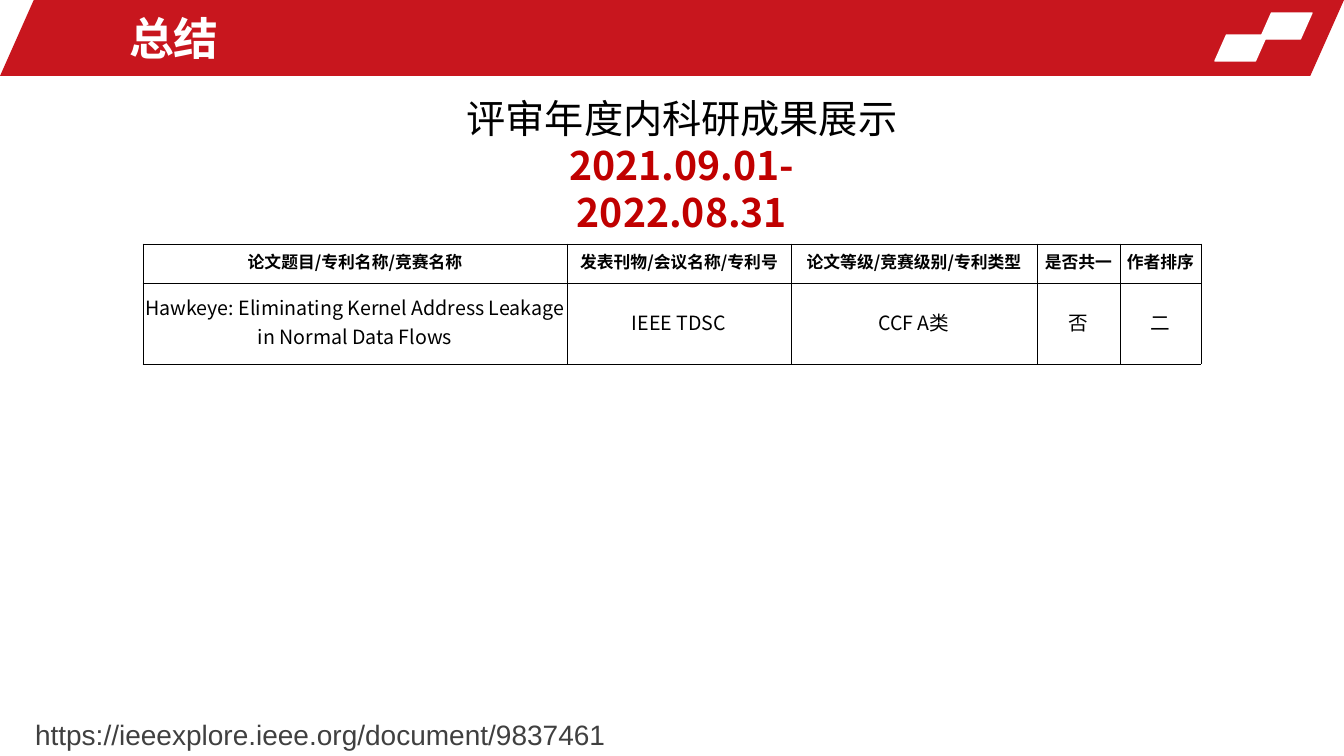
import pptx
import pptx.dml.color
import pptx.enum.shapes
import pptx.enum.text
import pptx.oxml
import pptx.oxml.ns
import pptx.util

RED = pptx.dml.color.RGBColor(0xC8, 0x16, 0x1E)
DATE_RED = pptx.dml.color.RGBColor(0xC0, 0x00, 0x00)
WHITE = pptx.dml.color.RGBColor(0xFF, 0xFF, 0xFF)
BLACK = pptx.dml.color.RGBColor(0x00, 0x00, 0x00)
GREY = pptx.dml.color.RGBColor(0x40, 0x40, 0x40)
CJK = "Noto Sans CJK SC"

PX_PER_INCH = 100.8
PAGE_WIDTH, PAGE_HEIGHT = 1344, 756

HEADER = (0, 0, PAGE_WIDTH, 76)
CAPTION = (456, 89, 452, 105)
RESULTS = (143, 244)
SOURCE_LINK = (35, 713, 574, 43)

COLUMNS = [424, 224, 246, 83, 81]
ROWS = [39, 81]
CELLS = [
    ["论文题目/专利名称/竞赛名称", "发表刊物/会议名称/专利号",
     "论文等级/竞赛级别/专利类型", "是否共一", "作者排序"],
    ["Hawkeye: Eliminating Kernel Address Leakage in Normal Data Flows",
     "IEEE TDSC", "CCF A类", "否", "二"],
]


def px(length):
    return pptx.util.Emu(round(length * 914400 / PX_PER_INCH))


def add_xml(parent, xml):
    namespace = pptx.oxml.ns.nsdecls("a")
    parent.append(pptx.oxml.parse_xml(xml.replace(" ", f" {namespace} ", 1)))


def write(para, text, size=14, color=BLACK, bold=False, font=CJK, align="LEFT"):
    para.alignment = getattr(pptx.enum.text.PP_ALIGN, align)
    para.space_before = pptx.util.Pt(0)
    span = para.add_run()
    span.text = text
    span.font.size = pptx.util.Pt(size)
    span.font.bold = bold
    span.font.color.rgb = color
    span.font.name = font
    add_xml(span.font._element, f'<a:ea typeface="{font}"/>')


def place(shape, box):
    shape.left, shape.top, shape.width, shape.height = map(px, box)


def set_frame(frame, margins):
    """Centre the text vertically, with left, top, right and bottom margins."""
    frame.word_wrap = True
    frame.auto_size = pptx.enum.text.MSO_AUTO_SIZE.NONE
    frame.vertical_anchor = pptx.enum.text.MSO_ANCHOR.MIDDLE
    (frame.margin_left, frame.margin_top,
     frame.margin_right, frame.margin_bottom) = map(px, margins)


def add_slant(page, box, color, outlined=False):
    slant = page.shapes.add_shape(
        pptx.enum.shapes.MSO_SHAPE.PARALLELOGRAM, *map(px, box))
    slant.adjustments[0] = 0.444
    slant.shadow.inherit = False
    slant.fill.solid()
    slant.fill.fore_color.rgb = color
    if outlined:
        slant.line.color.rgb = color
        slant.line.width = pptx.util.Pt(1)
    else:
        slant.line.fill.background()


def add_header(page, box):
    left, top, width, height = box
    add_slant(page, box, RED)
    for from_right, down in ((84, 13), (129, 35)):
        mark = (left + width - from_right, top + down, 52, 26)
        add_slant(page, mark, WHITE, outlined=True)
    title = page.shapes.title
    title._element.getparent().append(title._element)
    place(title, (left + 119, top + 5, 780, height - 10))
    set_frame(title.text_frame, (10, 5, 10, 5))
    write(title.text_frame.paragraphs[0], "总结", size=32, color=WHITE, bold=True)


def add_source_link(page, box):
    body = page.placeholders[1]
    place(body, box)
    set_frame(body.text_frame, (0, 0, 0, 0))
    para = body.text_frame.paragraphs[0]
    properties = para._p.get_or_add_pPr()
    properties.set("marL", "0")
    properties.set("indent", "0")
    add_xml(properties, "<a:buNone />")
    write(para, "https://ieeexplore.ieee.org/document/9837461",
          size=20, color=GREY, font="Arial")


def add_caption(page, box):
    frame = page.shapes.add_textbox(*map(px, box)).text_frame
    frame.word_wrap = False
    frame.auto_size = pptx.enum.text.MSO_AUTO_SIZE.SHAPE_TO_FIT_TEXT
    write(frame.paragraphs[0], "评审年度内科研成果展示", size=28, align="CENTER")
    write(frame.add_paragraph(), "2021.09.01-2022.08.31",
          size=28, color=DATE_RED, bold=True, align="CENTER")


def format_cell(cell, text, heading):
    cell.vertical_anchor = pptx.enum.text.MSO_ANCHOR.MIDDLE
    cell.margin_left = cell.margin_top = cell.margin_right = px(1)
    cell.margin_bottom = px(5)
    write(cell.text_frame.paragraphs[0], text,
          size=12 if heading else 14, bold=heading, align="CENTER")
    properties = cell._tc.get_or_add_tcPr()
    for side in ("lnL", "lnR", "lnT", "lnB"):
        add_xml(properties,
                f'<a:{side} w="{pptx.util.Pt(0.5)}"><a:solidFill>'
                f'<a:srgbClr val="{BLACK}"/></a:solidFill></a:{side}>')
    if heading:
        cell.fill.solid()
        cell.fill.fore_color.rgb = WHITE
    else:
        cell.fill.background()


def add_results(page, corner):
    box = (*corner, sum(COLUMNS), sum(ROWS))
    table = page.shapes.add_table(len(ROWS), len(COLUMNS), *map(px, box)).table
    table.first_row = table.horz_banding = False
    for column, width in zip(table.columns, COLUMNS):
        column.width = px(width)
    for row, height, texts in zip(table.rows, ROWS, CELLS):
        row.height = px(height)
        for cell, text in zip(row.cells, texts):
            format_cell(cell, text, heading=texts is CELLS[0])


def main():
    deck = pptx.Presentation()
    deck.slide_width, deck.slide_height = px(PAGE_WIDTH), px(PAGE_HEIGHT)
    page = deck.slides.add_slide(deck.slide_layouts[1])
    add_header(page, HEADER)
    add_source_link(page, SOURCE_LINK)
    add_caption(page, CAPTION)
    add_results(page, RESULTS)
    deck.save("out.pptx")


if __name__ == "__main__":
    main()
